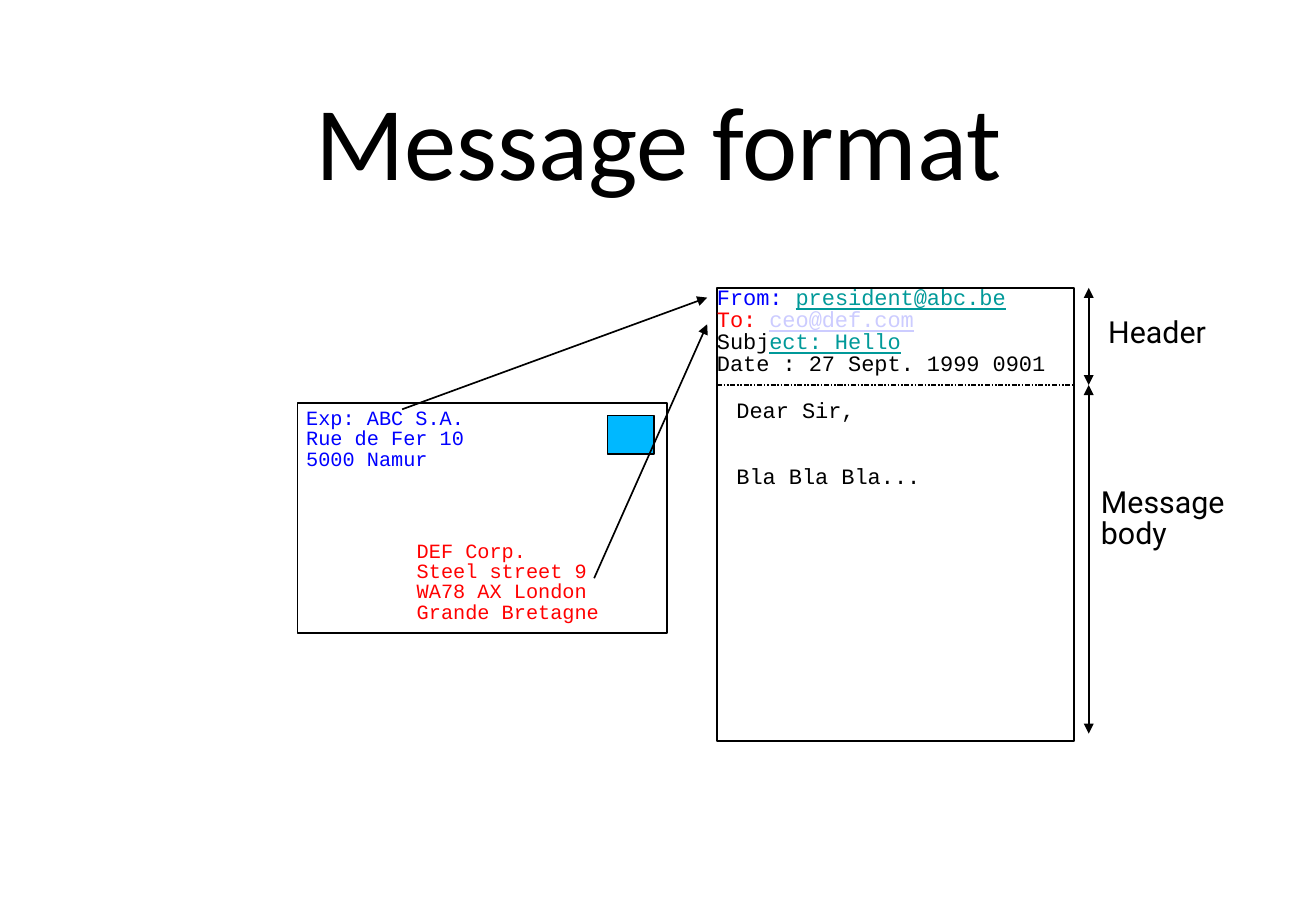
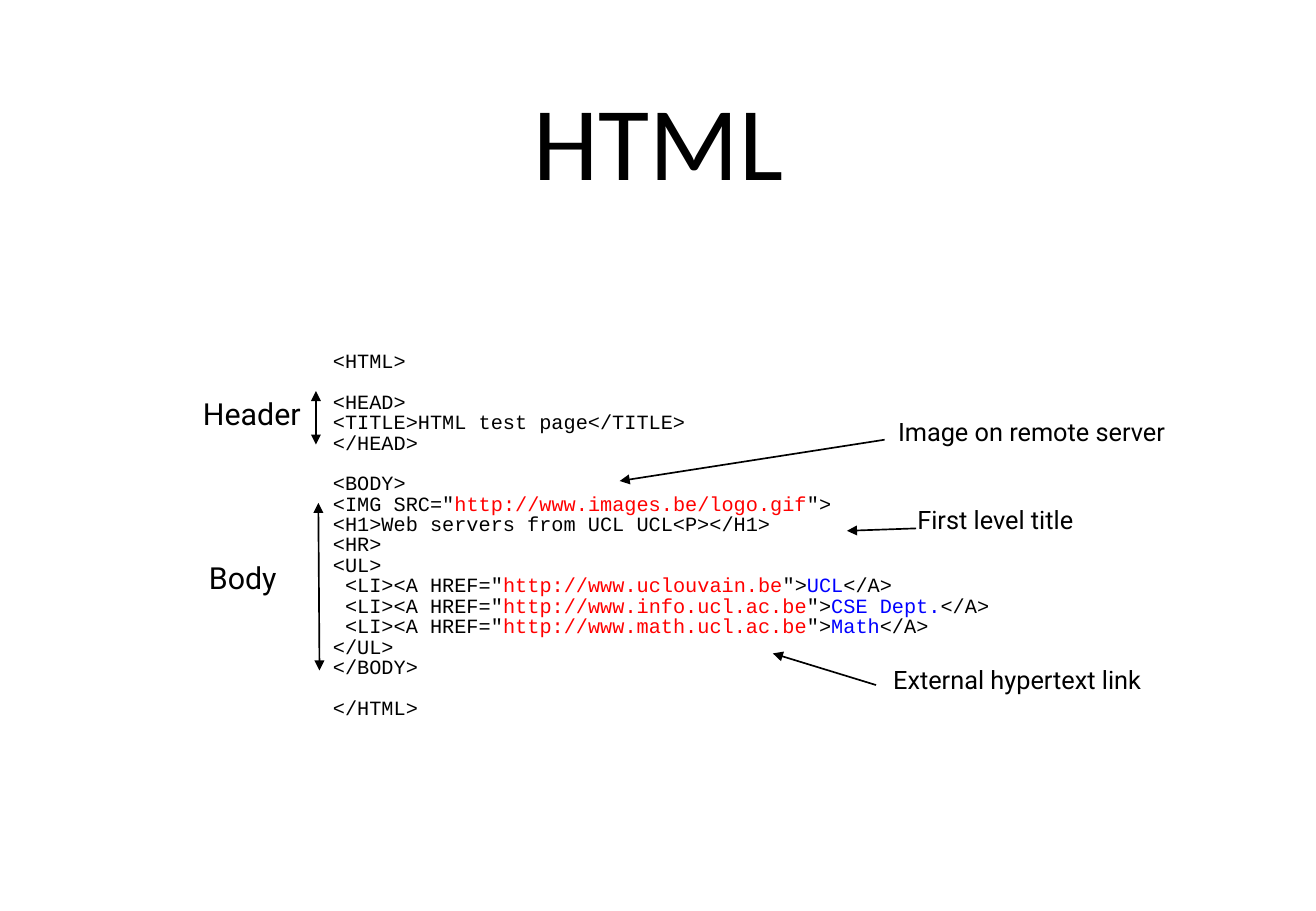
from dataclasses import dataclass

from lxml.etree import SubElement
from pptx import Presentation
from pptx.dml.color import RGBColor as Rgb
from pptx.enum.shapes import MSO_CONNECTOR as Link, MSO_SHAPE as Preset
from pptx.enum.text import MSO_ANCHOR as Anchor, MSO_AUTO_SIZE as Fit, PP_ALIGN as Align
from pptx.oxml.ns import qn
from pptx.slide import Slide
from pptx.text.text import TextFrame
from pptx.util import Emu, Inches, Pt


@dataclass(frozen=True)
class Theme:
    """Colours, fonts and sizes shared by the slides."""
    ink: str = "000000"
    sender: str = "0000FF"
    receiver: str = "FF0000"
    link: str = "009999"
    visited: str = "CCCCFF"
    stamp: str = "00B8FF"
    title_font: str = "Calibri"
    label_font: str = "Roboto"
    mono_font: str = "Courier New"
    title_size: float = 62
    part_size: float = 18
    note_size: float = 15
    mail_size: float = 13
    code_size: float = 12
    line_width: float = 1
    leading: float = 0.84


@dataclass(frozen=True)
class Box:
    """A place as percentages of the slide's width and height."""
    x: float
    y: float
    w: float
    h: float


@dataclass(frozen=True)
class Span:
    """Words in one colour; no colour means the colour of the text."""
    words: str
    color: str | None = None
    underline: bool = False


@dataclass(frozen=True)
class Line:
    """A line of text and the number of lines left open above it."""
    spans: tuple[Span, ...]
    gap: int = 0


@dataclass(frozen=True)
class Label:
    """A caption with its place and type size."""
    words: str
    box: Box
    size: float
    wrap: bool = False


@dataclass(frozen=True)
class Arrow:
    """A line between two points, with a head at one or both ends."""
    x1: float
    y1: float
    x2: float
    y2: float
    double: bool = False


THEME = Theme()
WIDTH, HEIGHT = Inches(10.83), Inches(7.5)
TITLE_BOX = Box(9.79, 2.67, 80.52, 25.07)


def across(share: float) -> Emu:
    """Turn a percentage of the width into a length."""
    return Emu(round(WIDTH * share / 100))


def down(share: float) -> Emu:
    """Turn a percentage of the height into a length."""
    return Emu(round(HEIGHT * share / 100))


def place(box: Box) -> tuple[Emu, Emu, Emu, Emu]:
    """Give left, top, width and height of a box."""
    return across(box.x), down(box.y), across(box.w), down(box.h)


def line(*spans: Span | str, gap: int = 0) -> Line:
    """Make a line from plain words and coloured spans."""
    return Line(tuple(Span(s) if isinstance(s, str) else s for s in spans), gap)


def write(frame: TextFrame, lines: list[Line], *, font: str, size: float,
          color: str = THEME.ink, align: Align = Align.LEFT, margin: float = 0,
          leading: float | None = THEME.leading, wrap: bool = False,
          anchor: Anchor = Anchor.TOP) -> None:
    """Fill a text frame with formatted lines."""
    frame.auto_size, frame.word_wrap, frame.vertical_anchor = Fit.NONE, wrap, anchor
    frame.margin_left = frame.margin_right = Inches(margin)
    frame.margin_top = frame.margin_bottom = Inches(margin)
    for index, row in enumerate(lines):
        paragraph = frame.paragraphs[0] if index == 0 else frame.add_paragraph()
        paragraph.alignment = align
        if leading:
            paragraph.line_spacing = leading
        if row.gap:
            paragraph.space_before = Pt(row.gap * size)
        for span in row.spans:
            run = paragraph.add_run()
            run.text = span.words
            run.font.name, run.font.size = font, Pt(size)
            run.font.color.rgb = Rgb.from_string(span.color or color)
            if span.underline:
                run.font.underline = True


def add_text(slide: Slide, box: Box, lines: list[Line], **style) -> None:
    """Add a text box with formatted lines."""
    write(slide.shapes.add_textbox(*place(box)).text_frame, lines, **style)


def add_label(slide: Slide, label: Label) -> None:
    """Add a caption in the label font."""
    add_text(slide, label.box, [line(label.words)], font=THEME.label_font,
             size=label.size, wrap=label.wrap)


def add_box(slide: Slide, box: Box, fill: str | None = None) -> None:
    """Add an outlined rectangle."""
    panel = slide.shapes.add_shape(Preset.RECTANGLE, *place(box))
    panel.shadow.inherit = False
    if fill:
        panel.fill.solid()
        panel.fill.fore_color.rgb = Rgb.from_string(fill)
    else:
        panel.fill.background()
    panel.line.color.rgb = Rgb.from_string(THEME.ink)
    panel.line.width = Pt(THEME.line_width)


def add_line(slide: Slide, route: Arrow, *, heads: bool = True,
             dash: str | None = None) -> None:
    """Add a straight line with its arrowheads or its dash."""
    rule = slide.shapes.add_connector(Link.STRAIGHT, across(route.x1), down(route.y1),
                                      across(route.x2), down(route.y2))
    rule.line.color.rgb = Rgb.from_string(THEME.ink)
    rule.line.width = Pt(THEME.line_width)
    stroke = rule.line._get_or_add_ln()
    if dash:
        SubElement(stroke, qn("a:prstDash"), val=dash)
    if route.double:
        SubElement(stroke, qn("a:headEnd"), type="triangle")
    if heads:
        SubElement(stroke, qn("a:tailEnd"), type="triangle")
    SubElement(rule._element.spPr, qn("a:effectLst"))


def add_slide(deck: Presentation, title: str) -> Slide:
    """Add a slide with the shared title style."""
    slide = deck.slides.add_slide(deck.slide_layouts[5])
    heading = slide.shapes.title
    heading.left, heading.top, heading.width, heading.height = place(TITLE_BOX)
    write(heading.text_frame, [line(title)], font=THEME.title_font,
          size=THEME.title_size, align=Align.CENTER, margin=0.04, leading=None,
          wrap=True, anchor=Anchor.MIDDLE)
    return slide


def add_message_slide(deck: Presentation) -> None:
    """Compare an envelope with an e-mail message."""
    slide = add_slide(deck, "Message format")
    envelope = Box(22.62, 44.27, 28.07, 25.2)
    message = Box(54.48, 31.6, 27.15, 49.73)
    split, scale = 42.27, 82.73
    add_box(slide, envelope)
    add_box(slide, Box(46.17, 45.6, 3.51, 4.27), THEME.stamp)
    add_box(slide, message)
    add_line(slide, Arrow(message.x, split, message.x + message.w, split),
             heads=False, dash="sysDashDotDot")

    sender = [line(s) for s in ("Exp: ABC S.A.", "Rue de Fer 10", "5000 Namur")]
    receiver = [line(s) for s in ("DEF Corp.", "Steel street 9", "WA78 AX London",
                                  "Grande Bretagne")]
    add_text(slide, Box(23.27, 44.93, 12.1, 6.93), sender, font=THEME.mono_font,
             size=THEME.code_size, color=THEME.sender)
    add_text(slide, Box(31.67, 59.47, 14.04, 9.07), receiver, font=THEME.mono_font,
             size=THEME.code_size, color=THEME.receiver)
    fields = [
        line(Span("From: ", THEME.sender), Span("president@abc.be", THEME.link, True)),
        line(Span("To: ", THEME.receiver), Span("ceo@def.com", THEME.visited, True)),
        line("Subj", Span("ect: Hello", THEME.link, True)),
        line("Date : 27 Sept. 1999 0901"),
    ]
    add_text(slide, Box(message.x, message.y, 25.3, 9.87), fields,
             font=THEME.mono_font, size=THEME.mail_size)
    add_text(slide, Box(55.96, 44, 14.13, 9.87),
             [line("Dear Sir,"), line("Bla Bla Bla...", gap=2)],
             font=THEME.mono_font, size=THEME.mail_size)

    for arrow in (Arrow(30.56, 44.93, 53.74, 32.67), Arrow(45.15, 63.47, 53.74, 35.6),
                  Arrow(scale, message.y, scale, split, True),
                  Arrow(scale, split, scale, 80.53, True)):
        add_line(slide, arrow)
    for label in (Label("Header", Box(84.21, 35.07, 7.66, 3.47), THEME.part_size),
                  Label("Message body", Box(83.66, 53.73, 12.19, 7.07),
                        THEME.part_size, wrap=True)):
        add_label(slide, label)


def list_item(address: str, name: str) -> Line:
    """Make the code line of one hyperlink."""
    return line(' <LI><A HREF="', Span(address, THEME.receiver), '">',
                Span(name, THEME.sender), "</A>")


def add_html_slide(deck: Presentation) -> None:
    """Explain the parts of an HTML page."""
    slide = add_slide(deck, "HTML")
    code = [
        line("<HTML>"),
        line("<HEAD>", gap=1),
        line("<TITLE>HTML test page</TITLE>"),
        line("</HEAD>"),
        line("<BODY>", gap=1),
        line('<IMG SRC="', Span("http://www.images.be/logo.gif", THEME.receiver), '">'),
        line("<H1>Web servers from UCL UCL<P></H1>"),
        line("<HR>"),
        line("<UL>"),
        list_item("http://www.uclouvain.be", "UCL"),
        list_item("http://www.info.ucl.ac.be", "CSE Dept."),
        list_item("http://www.math.ucl.ac.be", "Math"),
        line("</UL>"),
        line("</BODY>"),
        line("</HTML>", gap=1),
    ]
    add_text(slide, Box(25.3, 38.67, 50.32, 40.8), code, font=THEME.mono_font,
             size=THEME.code_size)
    for arrow in (Arrow(24.01, 42.93, 24.01, 48.8, True),
                  Arrow(24.19, 55.2, 24.28, 73.6, True),
                  Arrow(67.22, 48.27, 47.09, 52.8),
                  Arrow(69.62, 58, 64.36, 58.27),
                  Arrow(66.57, 75.2, 58.73, 71.73)):
        add_line(slide, arrow)
    for label in (
            Label("Header", Box(15.42, 44, 7.66, 3.47), THEME.part_size),
            Label("Body", Box(15.88, 62, 5.36, 3.47), THEME.part_size),
            Label("Image on remote server", Box(68.24, 46.27, 20.59, 2.93), THEME.note_size),
            Label("First level title", Box(69.71, 55.87, 11.91, 2.93), THEME.note_size),
            Label("External hypertext link", Box(67.87, 73.47, 19.11, 2.93),
                  THEME.note_size)):
        add_label(slide, label)


def main() -> None:
    """Build and save the presentation."""
    deck = Presentation()
    deck.slide_width, deck.slide_height = WIDTH, HEIGHT
    add_message_slide(deck)
    add_html_slide(deck)
    deck.save("out.pptx")


if __name__ == "__main__":
    main()
